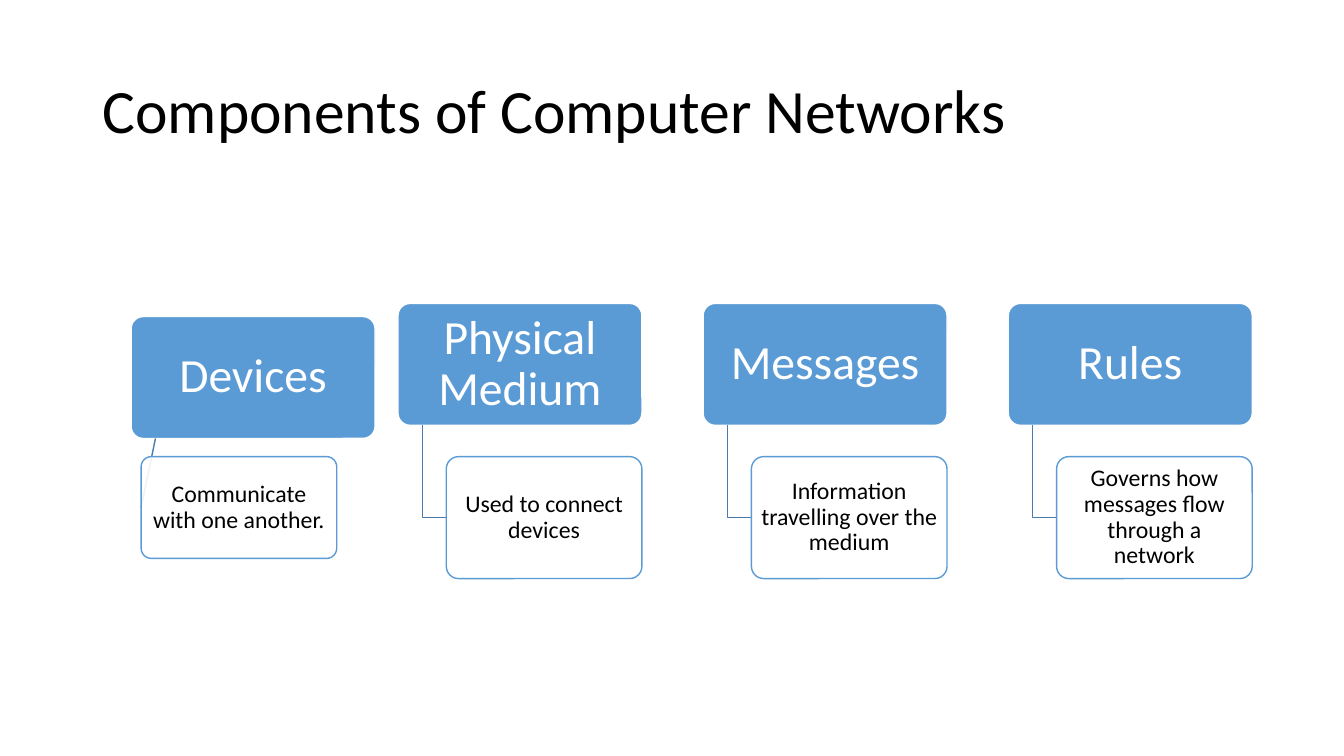
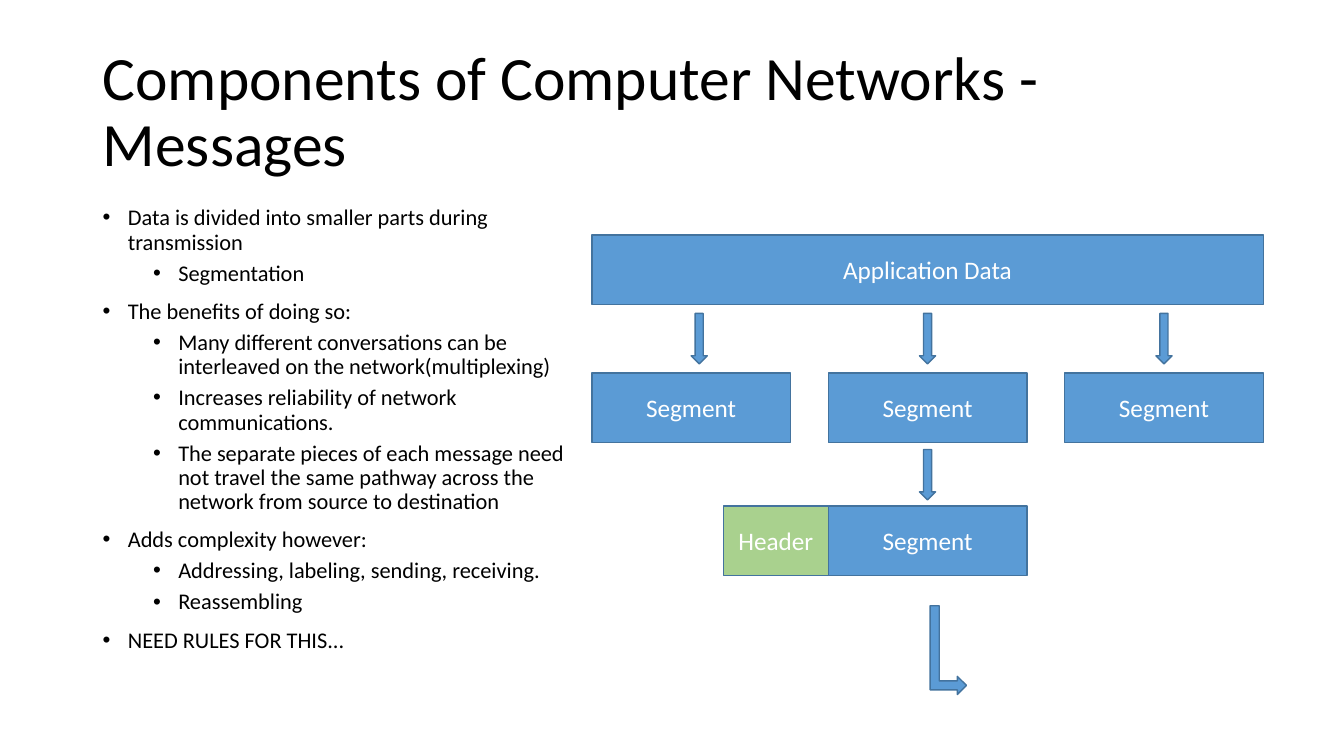
from collections import namedtuple

from lxml.etree import SubElement
from pptx import Presentation
from pptx.dml.color import RGBColor
from pptx.enum.shapes import MSO_CONNECTOR as LineKind, MSO_SHAPE as Preset
from pptx.enum.text import MSO_ANCHOR as Anchor, PP_ALIGN as Align
from pptx.oxml.ns import qn
from pptx.util import Inches, Pt

Box = namedtuple("Box", "left top width height")

SLIDE_W, SLIDE_H = 13.33, 7.5
FONT = "Calibri"
BLACK = RGBColor(0x00, 0x00, 0x00)
WHITE = RGBColor(0xFF, 0xFF, 0xFF)
BLUE = RGBColor(0x5B, 0x9B, 0xD5)
EDGE = RGBColor(0x43, 0x73, 0x9E)
LINK = RGBColor(0x49, 0x7C, 0xAB)
GREEN = RGBColor(0xA9, 0xD1, 0x8E)

TITLE_BOX = Box(0.92, 0.4, 11.5, 1.45)
CARDS_BOX = Box(0.92, 3.01, 11.5, 2.73)
POINTS_BOX = Box(0.92, 2, 4.86, 4.85)
DIAGRAM_BOX = Box(5.87, 2.33, 6.66, 4.56)

Component = namedtuple("Component", "name role head_shift note_height", defaults=((0, 0), 1.21))
COMPONENTS = [
    Component("Devices", "Communicate with one another.", (0.38, 0.13), 1.01),
    Component("Physical Medium", "Used to connect devices"),
    Component("Messages", "Information travelling over the medium"),
    Component("Rules", "Governs how messages flow through a network"),
]
POINTS = [
    (0, "Data is divided into smaller parts during transmission"),
    (1, "Segmentation"),
    (0, "The benefits of doing so:"),
    (1, "Many different conversations can be interleaved on the network(multiplexing)"),
    (1, "Increases reliability of network communications."),
    (1, "The separate pieces of each message need not travel the same pathway "
        "across the network from source to destination"),
    (0, "Adds complexity however:"),
    (1, "Addressing, labeling, sending, receiving."),
    (1, "Reassembling"),
    (0, "NEED RULES FOR THIS..."),
]


def add_run(paragraph, text, size, color):
    """Append one styled run to a paragraph."""
    run = paragraph.add_run()
    run.text = text
    run.font.name = FONT
    run.font.size = Pt(size)
    run.font.color.rgb = color


def set_text(shape, text, size, color, align=Align.CENTER, spacing=None, insets=(0.1, 0.05)):
    """Write one vertically centred paragraph into a shape."""
    frame = shape.text_frame
    frame.word_wrap = True
    frame.vertical_anchor = Anchor.MIDDLE
    frame.margin_left = frame.margin_right = Inches(insets[0])
    frame.margin_top = frame.margin_bottom = Inches(insets[1])
    paragraph = frame.paragraphs[0]
    paragraph.alignment = align
    paragraph.line_spacing = spacing
    add_run(paragraph, text, size, color)


def add_preset(slide, preset, box, fill=BLUE, edge=EDGE):
    """Add a flat preset shape with a solid fill and a thin outline."""
    shape = slide.shapes.add_shape(preset, *map(Inches, box))
    shape.shadow.inherit = False
    shape.fill.solid()
    shape.fill.fore_color.rgb = fill
    shape.line.color.rgb = edge
    shape.line.width = Pt(1)
    return shape


def add_title(slide, text, box=TITLE_BOX):
    """Place the slide title."""
    title = slide.shapes.add_textbox(*map(Inches, box))
    set_text(title, text, 44, BLACK, Align.LEFT, 0.9)


def add_card(slide, box, fill, edge):
    """Add a rectangle with slightly rounded corners."""
    card = add_preset(slide, Preset.ROUNDED_RECTANGLE, box, fill, edge)
    card.adjustments[0] = 0.1
    return card


def link_straight(slide, start, note):
    """Run a straight line from a point to the left side of a note, behind it."""
    line = slide.shapes.add_connector(LineKind.STRAIGHT, *map(Inches, start), note.left, note.top)
    line.end_connect(note, 1)
    line.line.color.rgb = LINK
    line.line.width = Pt(1)
    SubElement(line.element.spPr, qn("a:effectLst"))
    note.element.addprevious(line.element)


def link_elbow(slide, start, note):
    """Run an elbow line from a point to the left side of a note, behind it."""
    x, y = map(Inches, start)
    middle = note.top + note.height // 2
    builder = slide.shapes.build_freeform(x, y)
    builder.add_line_segments([(x, middle), (note.left, middle)], close=False)
    elbow = builder.convert_to_shape()
    elbow.shadow.inherit = False
    elbow.fill.background()
    elbow.line.color.rgb = LINK
    elbow.line.width = Pt(1)
    note.element.addprevious(elbow.element)


def add_component(slide, box, component):
    """Place a component's heading, note and link in one column."""
    head_width, head_height, note_width = 2.42, 1.21, 1.94
    note_left = box.left + box.width - note_width
    note_top = box.top + 1.52
    head_left = box.left + component.head_shift[0]
    head_top = box.top + component.head_shift[1]
    head = add_card(slide, Box(head_left, head_top, head_width, head_height), BLUE, WHITE)
    set_text(head, component.name, 34, WHITE, spacing=0.9, insets=(0.07, 0.05))
    note = add_card(slide, Box(note_left, note_top, note_width, component.note_height), WHITE, BLUE)
    tint = note.element.spPr.find(qn("a:solidFill"))[0]
    SubElement(tint, qn("a:alpha"), val="90000")
    set_text(note, component.role, 17, BLACK, spacing=0.9, insets=(0.04, 0.02))
    link = link_straight if any(component.head_shift) else link_elbow
    link(slide, (head_left + head_width / 10, head_top + head_height), note)


def add_components(slide, box):
    """Spread the components over equal columns."""
    column = 2.42
    pitch = (box.width - column) / (len(COMPONENTS) - 1)
    for index, component in enumerate(COMPONENTS):
        add_component(slide, Box(box.left + index * pitch, box.top, column, box.height), component)


def add_points(slide, box):
    """Write the two-level bullet list."""
    frame = slide.shapes.add_textbox(*map(Inches, box)).text_frame
    frame.word_wrap = True
    for index, (level, text) in enumerate(POINTS):
        point = frame.add_paragraph() if index else frame.paragraphs[0]
        point.level = level
        point.line_spacing = 0.9
        if index:
            point.space_before = Pt(5 if level else 10)
        properties = point._p.get_or_add_pPr()
        properties.set("marL", str(Inches(0.25 + level * 0.5)))
        properties.set("indent", str(Inches(-0.25)))
        SubElement(properties, qn("a:buFont"), typeface="Arial")
        SubElement(properties, qn("a:buChar"), char="•")
        add_run(point, text, 16, BLACK)


def add_block(slide, box, text, fill=BLUE):
    """Add a labelled data block."""
    set_text(add_preset(slide, Preset.RECTANGLE, box, fill), text, 18, WHITE)


def add_segmentation(slide, box):
    """Draw application data split into segments, one of them gaining a header."""
    height, segment, header = 0.69, 1.97, 1.04
    arrow_width, arrow_height = 0.16, 0.5
    split_row, header_row = box.top + 1.37, box.top + 2.69
    pitch = (box.width - segment) / 2
    lefts = [box.left + index * pitch for index in range(3)]
    middle = lefts[1]

    def add_down_arrow(center, top):
        """Add a down arrow centred on a column."""
        arrow = Box(center - arrow_width / 2, top, arrow_width, arrow_height)
        add_preset(slide, Preset.DOWN_ARROW, arrow)

    add_block(slide, Box(box.left, box.top, box.width, height), "Application Data")
    for left, nudge in zip(lefts, (0.08, 0, 0)):
        add_block(slide, Box(left, split_row, segment, height), "Segment")
        add_down_arrow(left + segment / 2 + nudge, box.top + 0.78)
    add_down_arrow(middle + segment / 2, box.top + 2.13)
    add_block(slide, Box(middle, header_row, segment, height), "Segment")
    add_block(slide, Box(middle - header, header_row, header, height), "Header", GREEN)
    turn = add_preset(slide, Preset.BENT_UP_ARROW, Box(middle + 0.75, box.top + 3.94, 0.88, 0.36))
    turn.rotation = 90


def main():
    """Build and save the presentation."""
    deck = Presentation()
    deck.slide_width, deck.slide_height = Inches(SLIDE_W), Inches(SLIDE_H)
    blank = deck.slide_layouts[6]

    overview = deck.slides.add_slide(blank)
    add_title(overview, "Components of Computer Networks")
    add_components(overview, CARDS_BOX)

    messages = deck.slides.add_slide(blank)
    add_title(messages, "Components of Computer Networks - Messages")
    add_points(messages, POINTS_BOX)
    add_segmentation(messages, DIAGRAM_BOX)

    deck.save("out.pptx")


if __name__ == "__main__":
    main()
